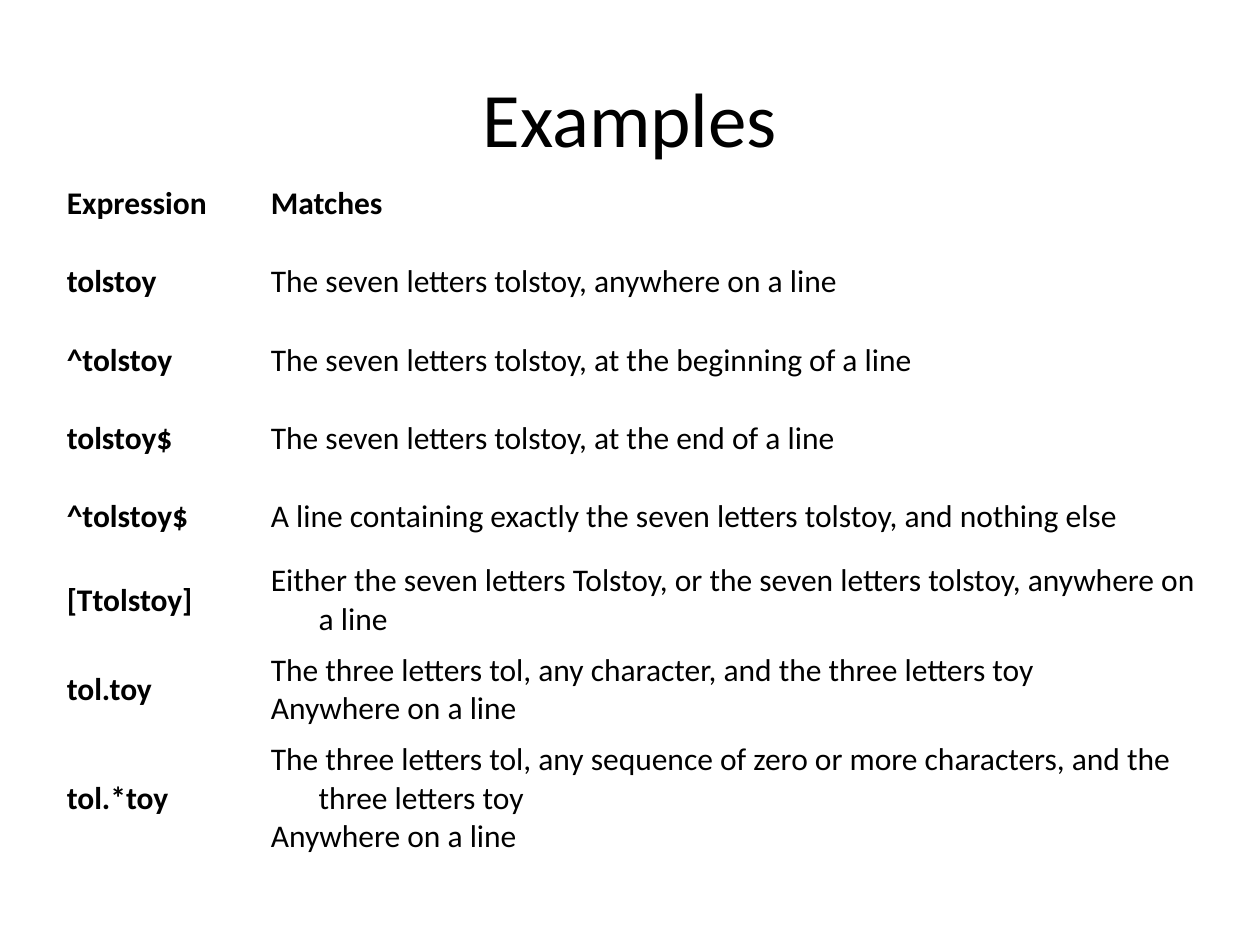
from pptx import Presentation
from pptx.dml.color import RGBColor
from pptx.enum.text import MSO_ANCHOR as Anchor, PP_ALIGN as Align
from pptx.util import Inches, Pt

INK = "000000"
ROWS = [
    ("Expression", ["Matches"]),
    ("tolstoy", ["The seven letters tolstoy, anywhere on a line"]),
    ("^tolstoy", ["The seven letters tolstoy, at the beginning of a line"]),
    ("tolstoy$", ["The seven letters tolstoy, at the end of a line"]),
    ("^tolstoy$", ["A line containing exactly the seven letters tolstoy, and nothing else"]),
    ("[Ttolstoy]", ["Either the seven letters Tolstoy, or the seven letters tolstoy, anywhere on a line"]),
    ("tol.toy", ["The three letters tol, any character, and the three letters toy",
                 "Anywhere on a line"]),
    ("tol.*toy", ["The three letters tol, any sequence of zero or more characters, and the three letters toy",
                  "Anywhere on a line"]),
]


def tint(font, code):
    """Colour a font from a hex string."""
    font.color.rgb = RGBColor.from_string(code)


def add_run(para, text, size, bold=False):
    """Append one formatted run to a paragraph."""
    run = para.add_run()
    run.text = text
    run.font.name = "Calibri"
    run.font.size = Pt(size)
    run.font.bold = bold
    tint(run.font, INK)


def put_title(slide, box, text):
    """Place the title placeholder in the given box."""
    title = slide.shapes.title
    title.left, title.top, title.width, title.height = map(Inches, box)
    frame = title.text_frame
    frame.vertical_anchor = Anchor.MIDDLE
    para = frame.paragraphs[0]
    para.alignment = Align.CENTER
    add_run(para, text, 44)


def fill_cell(cell, lines, bold):
    """Write lines with a hanging indent into a clear cell."""
    cell.fill.background()
    cell.vertical_anchor = Anchor.MIDDLE
    frame = cell.text_frame
    for i, line in enumerate(lines):
        para = frame.add_paragraph() if i else frame.paragraphs[0]
        props = para._p.get_or_add_pPr()
        props.set("marL", str(Inches(0.38)))
        props.set("indent", str(Inches(-0.38)))
        add_run(para, line, 18, bold)


def put_table(slide, box, first, high):
    """Place the table of expressions and their matches."""
    left, top, width = box
    frame = slide.shapes.add_table(len(ROWS), 2, Inches(left), Inches(top),
                                   Inches(width), Inches(high * len(ROWS)))
    table = frame.table
    table.first_row = table.horz_banding = False
    table.columns[0].width = Inches(first)
    table.columns[1].width = Inches(width - first)
    for i, (term, lines) in enumerate(ROWS):
        table.rows[i].height = Inches(high)
        fill_cell(table.cell(i, 0), [term], True)
        fill_cell(table.cell(i, 1), lines, i == 0)


def main():
    """Build and save the slide."""
    deck = Presentation()
    deck.slide_width, deck.slide_height = Inches(10), Inches(7.5)
    slide = deck.slides.add_slide(deck.slide_layouts[5])
    put_title(slide, (0.5, 0.3, 9, 1.25), "Examples")
    put_table(slide, (0.43, 1.31, 9.28), 1.62, 0.62)
    deck.save("out.pptx")


if __name__ == "__main__":
    main()
